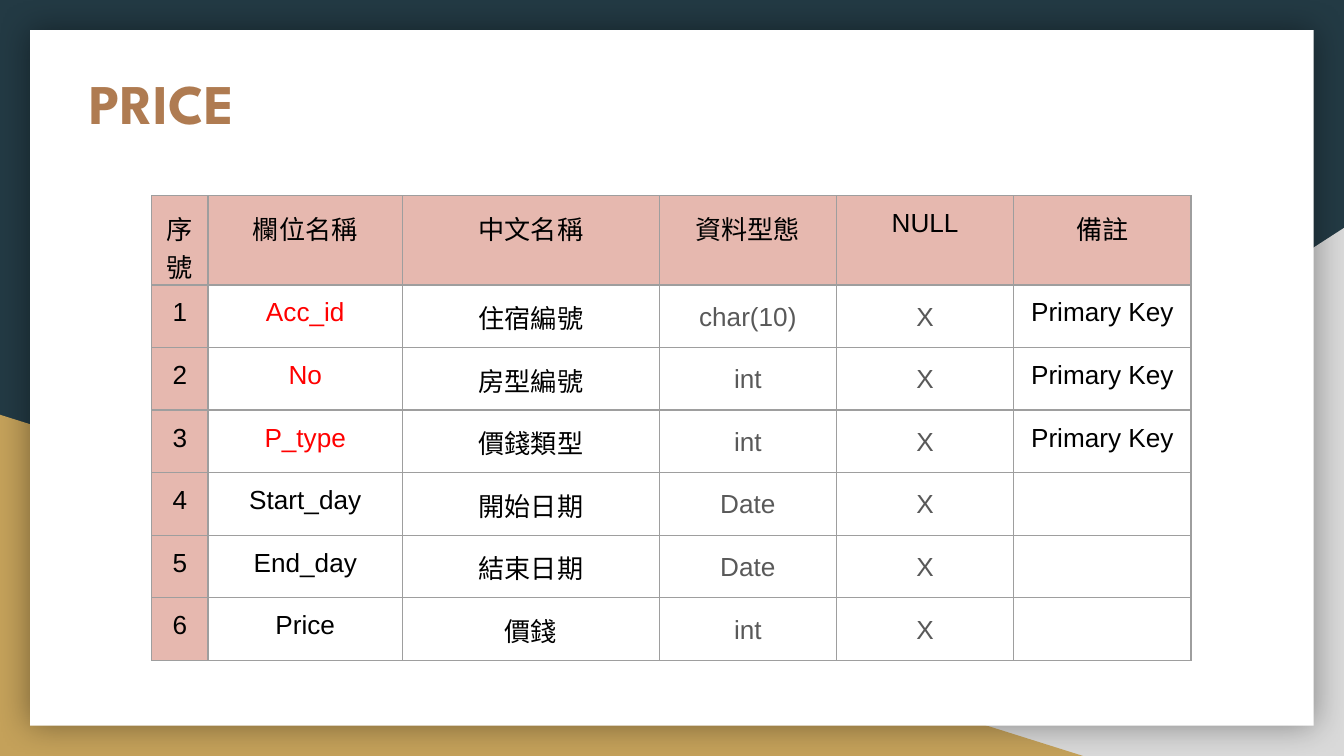
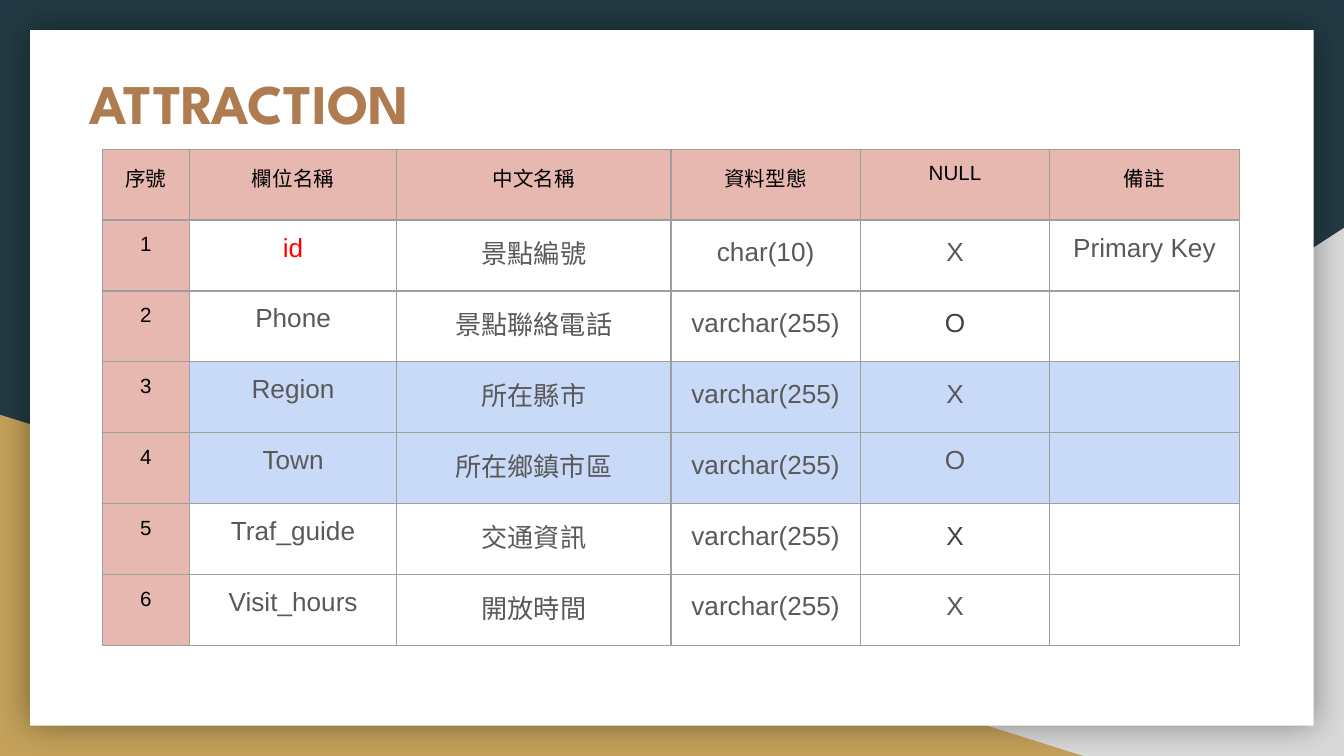
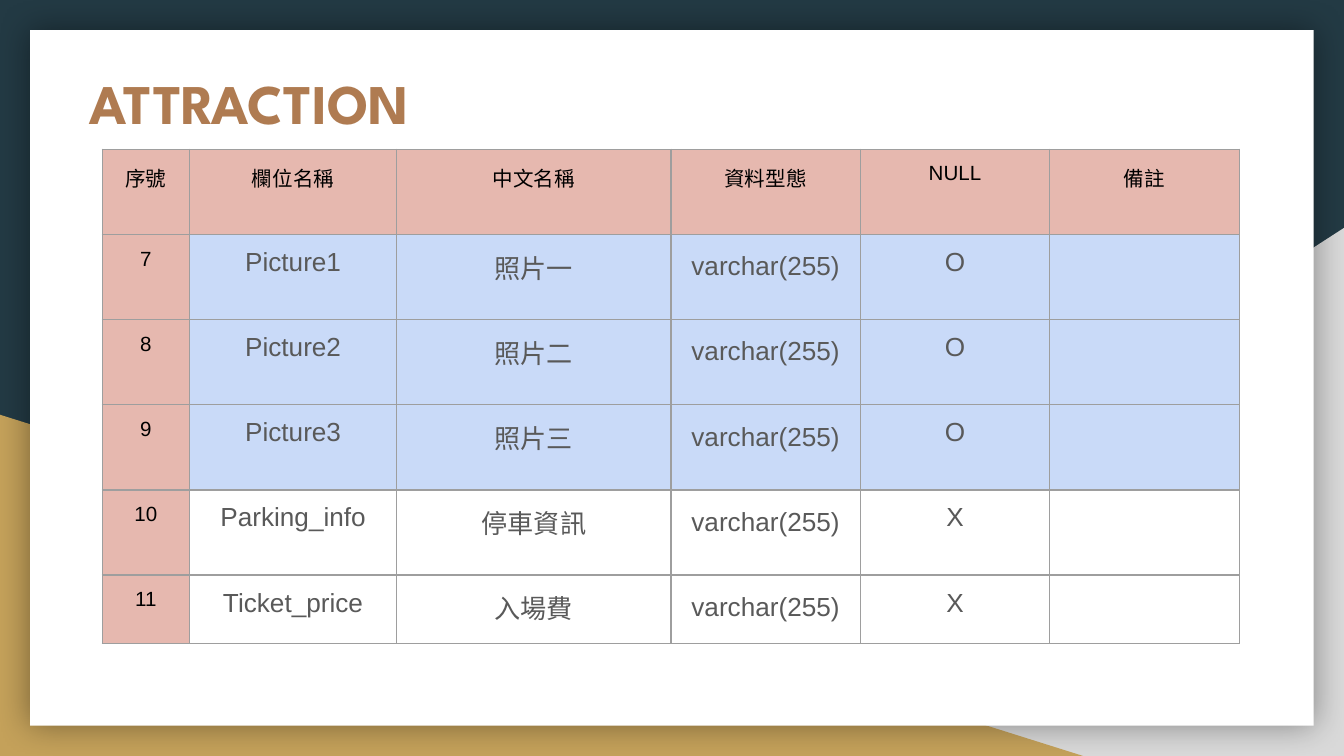
from dataclasses import dataclass
from typing import NamedTuple

from lxml.etree import SubElement
from pptx import Presentation
from pptx.dml.color import RGBColor
from pptx.enum.shapes import MSO_SHAPE as Shape
from pptx.enum.text import MSO_ANCHOR as Anchor, PP_ALIGN as Align
from pptx.oxml.ns import qn
from pptx.util import Cm, Pt


@dataclass(frozen=True)
class Theme:
    navy: str = "233A44"
    gray: str = "D9D9D9"
    gold: str = "C4A15A"
    white: str = "FFFFFF"
    bronze: str = "AF7B51"
    pink: str = "E6B8AF"
    blue: str = "C9DAF8"
    border: str = "9E9E9E"
    black: str = "000000"
    text: str = "595959"
    dark: str = "434343"
    key: str = "FF0000"
    title_font: str = "League Spartan"
    body_font: str = "Arial"
    title_size: int = 30
    body_size: int = 14
    small_size: int = 11
    border_width: float = 0.75


class Box(NamedTuple):
    left: float
    top: float
    width: float
    height: float

    def lengths(self) -> list:
        return [Cm(v) for v in self]


class Panel(NamedTuple):
    kind: Shape
    box: Box
    color: str
    flipped: bool = False
    shadowed: bool = False


class Field(NamedTuple):
    number: int
    name: str
    label: str
    type: str
    null: str
    note: str = ""
    key: bool = False
    highlighted: bool = False
    null_color: str = ""
    null_spaced: bool = True


class TableStyle(NamedTuple):
    left: float
    top: float
    columns: list[float]
    head_size: int
    text_color: str


class TableSlide(NamedTuple):
    title: str
    style: TableStyle
    row_heights: list[float]
    fields: list[Field]


THEME = Theme()
WIDTH, HEIGHT, FRAME, INSET = 25.4, 14.29, 0.57, 0.25
TITLE_BOX = Box(1.45, 1.04, 20.85, 2.64)
HEADINGS = ["序號", "欄位名稱", "中文名稱", "資料型態", "NULL", "備註"]
PANELS = [
    Panel(Shape.RIGHT_TRIANGLE, Box(9.96, 4.31, 15.44, 9.98), THEME.gray, flipped=True),
    Panel(Shape.RIGHT_TRIANGLE, Box(0, 7.84, 20.47, 6.45), THEME.gold),
    Panel(Shape.RECTANGLE, Box(FRAME, FRAME, WIDTH - 2 * FRAME, HEIGHT - 2 * FRAME),
          THEME.white, shadowed=True),
]
PRICE_STYLE = TableStyle(2.87, 3.7, [1.06, 3.68, 4.85] + [3.35] * 3,
                         THEME.body_size, THEME.black)
ATTRACTION_STYLE = TableStyle(1.93, 2.82, [1.65, 3.92, 5.18] + [3.58] * 3,
                              THEME.small_size, THEME.text)
SLIDES = [
    TableSlide("PRICE", PRICE_STYLE, [1.07] * 7, [
        Field(1, "Acc_id", "住宿編號", "char(10)", "X", "Primary Key", key=True),
        Field(2, "No", "房型編號", "int", "X", "Primary Key", key=True),
        Field(3, "P_type", "價錢類型", "int", "X", "Primary Key", key=True),
        Field(4, "Start_day", "開始日期", "Date", "X"),
        Field(5, "End_day", "結束日期", "Date", "X"),
        Field(6, "Price", "價錢", "int", "X"),
    ]),
    TableSlide("ATTRACTION", ATTRACTION_STYLE, [1.34] * 7, [
        Field(1, "id", "景點編號", "char(10)", "X", "Primary Key", key=True),
        Field(2, "Phone", "景點聯絡電話", "varchar(255)", "O", null_color=THEME.dark),
        Field(3, "Region", "所在縣市", "varchar(255)", "X", highlighted=True),
        Field(4, "Town", "所在鄉鎮市區", "varchar(255)", "O", highlighted=True,
              null_spaced=False),
        Field(5, "Traf_guide", "交通資訊", "varchar(255)", "X", null_color=THEME.dark),
        Field(6, "Visit_hours", "開放時間", "varchar(255)", "X"),
    ]),
    TableSlide("ATTRACTION", ATTRACTION_STYLE, [1.61] * 5 + [1.3], [
        Field(7, "Picture1", "照片一", "varchar(255)", "O", highlighted=True,
              null_spaced=False),
        Field(8, "Picture2", "照片二", "varchar(255)", "O", highlighted=True,
              null_spaced=False),
        Field(9, "Picture3", "照片三", "varchar(255)", "O", highlighted=True,
              null_spaced=False),
        Field(10, "Parking_info", "停車資訊", "varchar(255)", "X", null_spaced=False),
        Field(11, "Ticket_price", "入場費", "varchar(255)", "X", null_spaced=False),
    ]),
]


def rgb(color: str) -> RGBColor:
    return RGBColor.from_string(color)


def set_font(p, name: str, size: int, color: str, bold: bool = False) -> None:
    p.font.name = name
    p.font.size = Pt(size)
    p.font.bold = bold
    p.font.color.rgb = rgb(color)


def add_shadow(sp) -> None:
    effects = sp._element.spPr.find(qn("a:effectLst"))
    shadow = SubElement(effects, qn("a:outerShdw"), blurRad=str(Pt(18)), dist="0",
                        algn="ctr", rotWithShape="0")
    color = SubElement(shadow, qn("a:srgbClr"), val=THEME.black)
    SubElement(color, qn("a:alpha"), val="40000")


def add_panel(s, panel: Panel) -> None:
    sp = s.shapes.add_shape(panel.kind, *panel.box.lengths())
    sp.fill.solid()
    sp.fill.fore_color.rgb = rgb(panel.color)
    sp.line.fill.background()
    sp.shadow.inherit = False
    if panel.flipped:
        sp._element.spPr.get_or_add_xfrm().set("flipH", "1")
    if panel.shadowed:
        add_shadow(sp)


def add_title(s, title: str) -> None:
    tf = s.shapes.add_textbox(*TITLE_BOX.lengths()).text_frame
    tf.word_wrap = True
    tf.vertical_anchor = Anchor.TOP
    tf.margin_left = tf.margin_right = tf.margin_top = tf.margin_bottom = Cm(INSET)
    p = tf.paragraphs[0]
    p.text = title
    set_font(p, THEME.title_font, THEME.title_size, THEME.bronze, bold=True)


def set_borders(cell) -> None:
    tc_pr = cell._tc.get_or_add_tcPr()
    for position, side in enumerate(("a:lnL", "a:lnR", "a:lnT", "a:lnB")):
        line = SubElement(tc_pr, qn(side), w=str(Pt(THEME.border_width)))
        tc_pr.insert(position, line)
        fill = SubElement(line, qn("a:solidFill"))
        SubElement(fill, qn("a:srgbClr"), val=THEME.border)


def fill_cell(cell, text: str, size: int, color: str, fill: str = "",
              spaced: bool = False) -> None:
    cell.margin_left = cell.margin_right = Cm(INSET)
    cell.margin_top = cell.margin_bottom = Cm(INSET)
    if fill:
        cell.fill.solid()
        cell.fill.fore_color.rgb = rgb(fill)
    else:
        cell.fill.background()
    set_borders(cell)
    p = cell.text_frame.paragraphs[0]
    p.text = text
    p.alignment = Align.CENTER
    set_font(p, THEME.body_font, size, color)
    if spaced:
        p.line_spacing = 1.15
        p.space_after = Pt(12)


def fill_field(cells: list, field: Field, style: TableStyle) -> None:
    number, name, label, kind, null, note = cells
    size, color = THEME.body_size, style.text_color
    fill = THEME.blue if field.highlighted else ""
    fill_cell(number, str(field.number), style.head_size, THEME.black, THEME.pink)
    fill_cell(name, field.name, size, THEME.key if field.key else color, fill)
    fill_cell(label, field.label, size, color, fill)
    fill_cell(kind, field.type, size, THEME.text, fill, spaced=True)
    fill_cell(null, field.null, size, field.null_color or THEME.text, fill,
              spaced=field.null_spaced)
    fill_cell(note, field.note, size, color, fill)


def add_field_table(s, content: TableSlide) -> None:
    style, heights = content.style, content.row_heights
    box = Box(style.left, style.top, sum(style.columns), sum(heights))
    table = s.shapes.add_table(len(heights), len(style.columns), *box.lengths()).table
    table.first_row = table.horz_banding = False
    for column, width in zip(table.columns, style.columns):
        column.width = Cm(width)
    for row, height in zip(table.rows, heights):
        row.height = Cm(height)
    head, *body = [list(row.cells) for row in table.rows]
    for cell, heading in zip(head, HEADINGS):
        fill_cell(cell, heading, style.head_size, THEME.black, THEME.pink)
    for cells, field in zip(body, content.fields):
        fill_field(cells, field, style)


def add_table_slide(prs, content: TableSlide) -> None:
    s = prs.slides.add_slide(prs.slide_layouts[6])
    s.background.fill.solid()
    s.background.fill.fore_color.rgb = rgb(THEME.navy)
    for panel in PANELS:
        add_panel(s, panel)
    add_title(s, content.title)
    add_field_table(s, content)


def main() -> None:
    prs = Presentation()
    prs.slide_width, prs.slide_height = Cm(WIDTH), Cm(HEIGHT)
    for content in SLIDES:
        add_table_slide(prs, content)
    prs.save("out.pptx")


if __name__ == "__main__":
    main()
